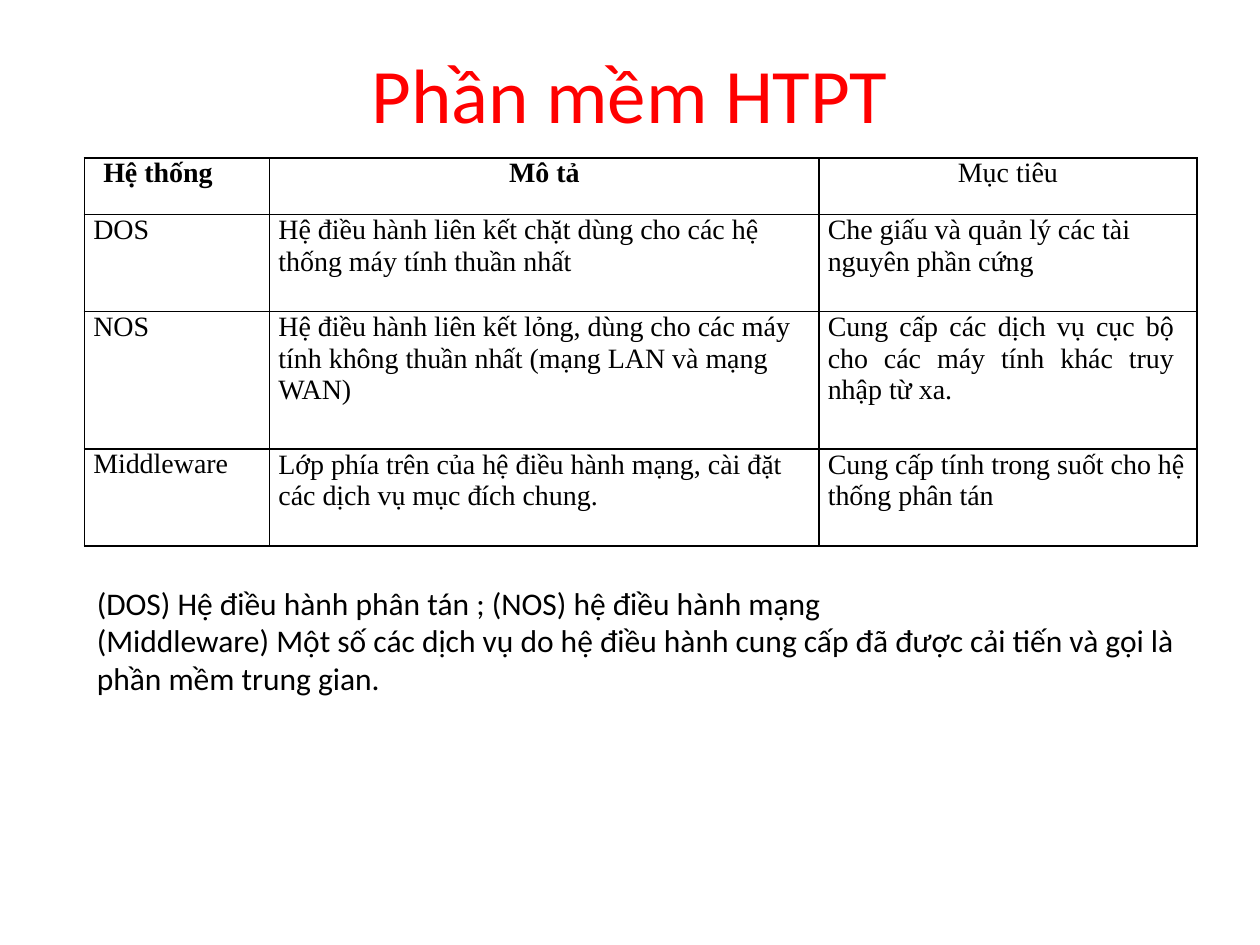
from lxml import etree
from pptx import Presentation
from pptx.dml.color import RGBColor
from pptx.enum.text import MSO_ANCHOR, MSO_AUTO_SIZE, PP_ALIGN
from pptx.oxml.ns import qn
from pptx.util import Inches, Pt

LEFT, CENTER, JUSTIFY = PP_ALIGN.LEFT, PP_ALIGN.CENTER, PP_ALIGN.JUSTIFY
MIDDLE = MSO_ANCHOR.MIDDLE
GROW = MSO_AUTO_SIZE.SHAPE_TO_FIT_TEXT
TITLE_ONLY = 5

COLORS = {"title": "FF0000", "text": "000000", "border": "000000"}
WIDTH, HEIGHT = 10, 7.5
TITLE_BOX = (0.05, 0.04, 0.9, 0.116)
TABLE_BOX = (0.067, 0.167, 0.883, 0.411)
NOTES_BOX = (0.067, 0.611, 0.883, 0.175)
COLUMN_WEIGHTS = (1.47, 4.36, 3)
ROW_WEIGHTS = (0.45, 0.77, 1.09, 0.77)

TITLE = "Phần mềm HTPT"
ROWS = [
    ("Hệ thống", "Mô tả", "Mục tiêu"),
    ("DOS",
     "Hệ điều hành liên kết chặt dùng cho các hệ thống máy tính thuần nhất",
     "Che giấu và quản lý các tài nguyên phần cứng"),
    ("NOS",
     "Hệ điều hành liên kết lỏng, dùng cho các máy tính không thuần nhất (mạng LAN và mạng WAN)",
     "Cung cấp các dịch vụ cục bộ cho các máy tính khác truy nhập từ xa."),
    ("Middleware",
     "Lớp phía trên của hệ điều hành mạng, cài đặt các dịch vụ mục đích chung.",
     "Cung cấp tính trong suốt cho hệ thống phân tán"),
]
HEADER_FORMATS = [(LEFT, 0.15, 0), (CENTER, 1.23, 1.23), (CENTER, 0.69, 0.69)]
BODY_FORMAT = (LEFT, 0.07, 0)
JUSTIFIED_FORMAT = (JUSTIFY, 0.07, 0.18)
NOTES = [
    "(DOS) Hệ điều hành phân tán ; (NOS) hệ điều hành mạng",
    "(Middleware) Một số các dịch vụ do hệ điều hành cung cấp đã được cải tiến và gọi là phần mềm trung gian.",
]


def place(box):
    left, top, width, height = box
    return (Inches(left * WIDTH), Inches(top * HEIGHT),
            Inches(width * WIDTH), Inches(height * HEIGHT))


def format_runs(paragraph, font_name, size, color, bold=False):
    for run in paragraph.runs:
        run.font.name = font_name
        run.font.size = Pt(size)
        run.font.bold = bold
        run.font.color.rgb = RGBColor.from_string(color)


def add_title(slide, box):
    title = slide.shapes.title
    title.left, title.top, title.width, title.height = place(box)
    title.text_frame.text = TITLE
    title.text_frame.vertical_anchor = MIDDLE
    paragraph = title.text_frame.paragraphs[0]
    paragraph.alignment = CENTER
    format_runs(paragraph, "Calibri", 44, COLORS["title"])


def set_borders(cell):
    properties = cell._tc.get_or_add_tcPr()
    for position, side in enumerate(("lnL", "lnR", "lnT", "lnB")):
        line = etree.Element(qn("a:" + side), w=str(Pt(1)))
        fill = etree.SubElement(line, qn("a:solidFill"))
        etree.SubElement(fill, qn("a:srgbClr"), val=COLORS["border"])
        properties.insert(position, line)


def format_cell(cell, text, layout, bold, line_spacing):
    alignment, left_indent, right_indent = layout
    cell.margin_left = cell.margin_right = cell.margin_top = cell.margin_bottom = 0
    cell.fill.background()
    set_borders(cell)
    cell.text_frame.text = text
    paragraph = cell.text_frame.paragraphs[0]
    paragraph.alignment = alignment
    paragraph.space_before = Pt(3)
    paragraph.line_spacing = line_spacing
    properties = paragraph._p.get_or_add_pPr()
    properties.set("marL", str(Inches(left_indent)))
    properties.set("marR", str(Inches(right_indent)))
    properties.set("indent", "0")
    format_runs(paragraph, "Times New Roman", 16, COLORS["text"], bold)


def add_systems_table(slide, box):
    left, top, width, height = place(box)
    table = slide.shapes.add_table(
        len(ROWS), len(COLUMN_WEIGHTS), left, top, width, height).table
    table.first_row = table.horz_banding = False
    for column, weight in zip(table.columns, COLUMN_WEIGHTS):
        column.width = int(width * weight / sum(COLUMN_WEIGHTS))
    for row, weight in zip(table.rows, ROW_WEIGHTS):
        row.height = int(height * weight / sum(ROW_WEIGHTS))
    for row_index, texts in enumerate(ROWS):
        for column_index, text in enumerate(texts):
            is_header = row_index == 0
            layout = HEADER_FORMATS[column_index] if is_header else BODY_FORMAT
            if (row_index, column_index) == (2, 2):
                layout = JUSTIFIED_FORMAT
            spacing = 1.0 if is_header or column_index == 0 else 1.01
            format_cell(table.cell(row_index, column_index), text, layout,
                        is_header and column_index < 2, spacing)


def add_notes(slide, box):
    text_frame = slide.shapes.add_textbox(*place(box)).text_frame
    text_frame.word_wrap = True
    text_frame.auto_size = GROW
    text_frame.text = "\n".join(NOTES)
    for paragraph in text_frame.paragraphs:
        format_runs(paragraph, "Calibri", 18, COLORS["text"])


def main():
    presentation = Presentation()
    presentation.slide_width = Inches(WIDTH)
    presentation.slide_height = Inches(HEIGHT)
    slide = presentation.slides.add_slide(presentation.slide_layouts[TITLE_ONLY])
    add_title(slide, TITLE_BOX)
    add_systems_table(slide, TABLE_BOX)
    add_notes(slide, NOTES_BOX)
    presentation.save("out.pptx")


if __name__ == "__main__":
    main()
